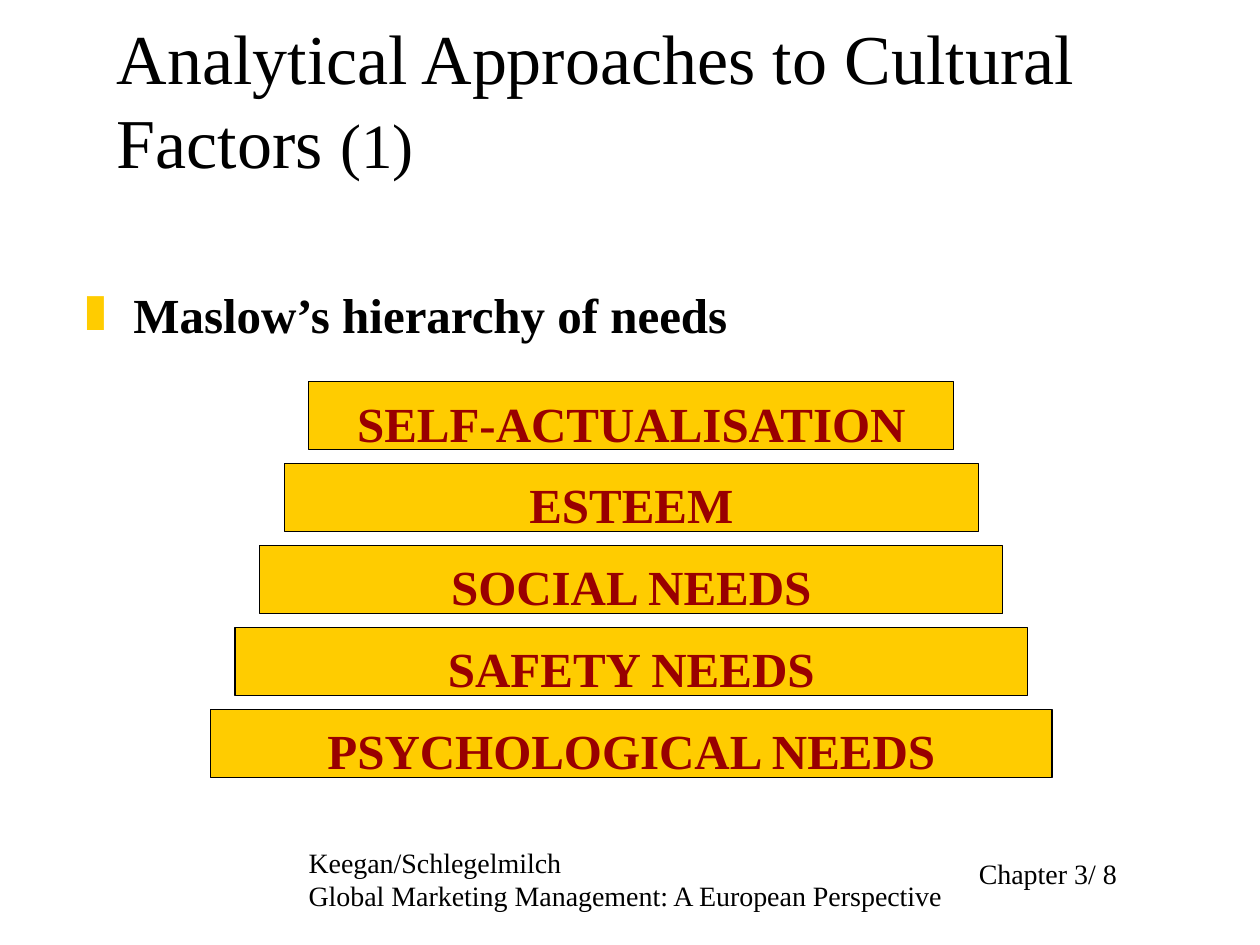
import pptx
import pptx.util
import pptx.dml.color
import pptx.enum.shapes
import pptx.enum.text
import pptx.oxml
import pptx.oxml.ns
from dataclasses import dataclass

Inches = pptx.util.Inches
Pt = pptx.util.Pt
PP_ALIGN = pptx.enum.text.PP_ALIGN
MSO_ANCHOR = pptx.enum.text.MSO_ANCHOR


@dataclass(frozen=True)
class Theme:
    font: str = "Times New Roman"
    ink: str = "000000"
    accent: str = "FFCC00"
    need: str = "990000"
    title_size: int = 40
    number_size: int = 36
    body_size: int = 28
    footer_size: int = 16


def rgb(value):
    return pptx.dml.color.RGBColor.from_string(value)


class SlideBuilder:
    def __init__(self, slide, theme):
        self.slide = slide
        self.theme = theme

    def set_frame(self, frame, **changes):
        settings = {
            "word_wrap": True,
            "vertical_anchor": MSO_ANCHOR.TOP,
            "margin_left": Inches(0.1),
            "margin_right": Inches(0.1),
            "margin_top": Inches(0.05),
            "margin_bottom": Inches(0.05),
        }
        for name, value in (settings | changes).items():
            setattr(frame, name, value)

    def add_text(self, paragraph, text, size, color=None, bold=False):
        run = paragraph.add_run()
        run.text = text
        settings = {"name": self.theme.font, "size": Pt(size), "bold": bold}
        for name, value in settings.items():
            setattr(run.font, name, value)
        run.font.color.rgb = rgb(color or self.theme.ink)

    def text_box(self, left, top, width, height, **settings):
        box = self.slide.shapes.add_textbox(
            Inches(left), Inches(top), Inches(width), Inches(height))
        self.set_frame(box.text_frame, **settings)
        return box.text_frame

    def title(self, text, number):
        frame = self.text_box(0.83, 0.25, 8.72, 1.25,
                              vertical_anchor=MSO_ANCHOR.BOTTOM)
        heading = frame.paragraphs[0]
        self.add_text(heading, text, self.theme.title_size)
        self.add_text(heading, number, self.theme.number_size)

    def footer(self, left, top, width, height, lines):
        frame = self.text_box(left, top, width, height, word_wrap=False)
        for index, line in enumerate(lines):
            paragraph = frame.add_paragraph() if index else frame.paragraphs[0]
            self.add_text(paragraph, line, self.theme.footer_size)

    def bullet(self, text):
        frame = self.text_box(0.58, 2.17, 9.25, 0.54, margin_top=Inches(0.09))
        paragraph = frame.paragraphs[0]
        properties = paragraph._p.get_or_add_pPr()
        properties.set("marL", str(Inches(0.38)))
        properties.set("indent", str(Inches(-0.38)))
        namespace = pptx.oxml.ns.nsdecls("a")
        for xml in (
            f'<a:buClr {namespace}><a:srgbClr val="{self.theme.accent}"/></a:buClr>',
            f'<a:buFont {namespace} typeface="{self.theme.font}"/>',
            f'<a:buChar {namespace} char="❚"/>',
        ):
            properties.append(pptx.oxml.parse_xml(xml))
        self.add_text(paragraph, text, self.theme.body_size, bold=True)

    def bar(self, left, top, width, height, text):
        bar = self.slide.shapes.add_shape(
            pptx.enum.shapes.MSO_SHAPE.RECTANGLE,
            Inches(left), Inches(top), Inches(width), Inches(height))
        bar.shadow.inherit = False
        bar.fill.solid()
        bar.fill.fore_color.rgb = rgb(self.theme.accent)
        bar.line.color.rgb = rgb(self.theme.ink)
        bar.line.width = Pt(0.75)
        self.set_frame(bar.text_frame, margin_top=Inches(0.09), margin_bottom=0)
        label = bar.text_frame.paragraphs[0]
        label.alignment = PP_ALIGN.CENTER
        self.add_text(label, text, self.theme.body_size, self.theme.need, bold=True)

    def pyramid(self, needs):
        """Stack centred bars that widen evenly from top to bottom."""
        center, top, pitch = 5.01, 3.03, 0.65
        narrowest, widening = 5.12, 0.39
        for level, need in enumerate(needs):
            width = narrowest + level * widening
            self.bar(center - width / 2, top + level * pitch, width, 0.54, need)


def main():
    deck = pptx.Presentation()
    deck.slide_width, deck.slide_height = Inches(10), Inches(7.5)
    builder = SlideBuilder(deck.slides.add_slide(deck.slide_layouts[6]), Theme())

    builder.footer(2.35, 6.66, 5.25, 0.64, [
        "Keegan/Schlegelmilch",
        "Global Marketing Management: A European Perspective",
    ])
    builder.footer(7.67, 6.75, 2.11, 0.37, ["Chapter 3/ 8"])
    builder.title("Analytical Approaches to Cultural Factors ", "(1)")
    builder.bullet("Maslow’s hierarchy of needs")
    builder.pyramid([
        "SELF-ACTUALISATION",
        "ESTEEM",
        "SOCIAL NEEDS",
        "SAFETY NEEDS",
        "PSYCHOLOGICAL NEEDS",
    ])
    deck.save("out.pptx")


if __name__ == "__main__":
    main()
